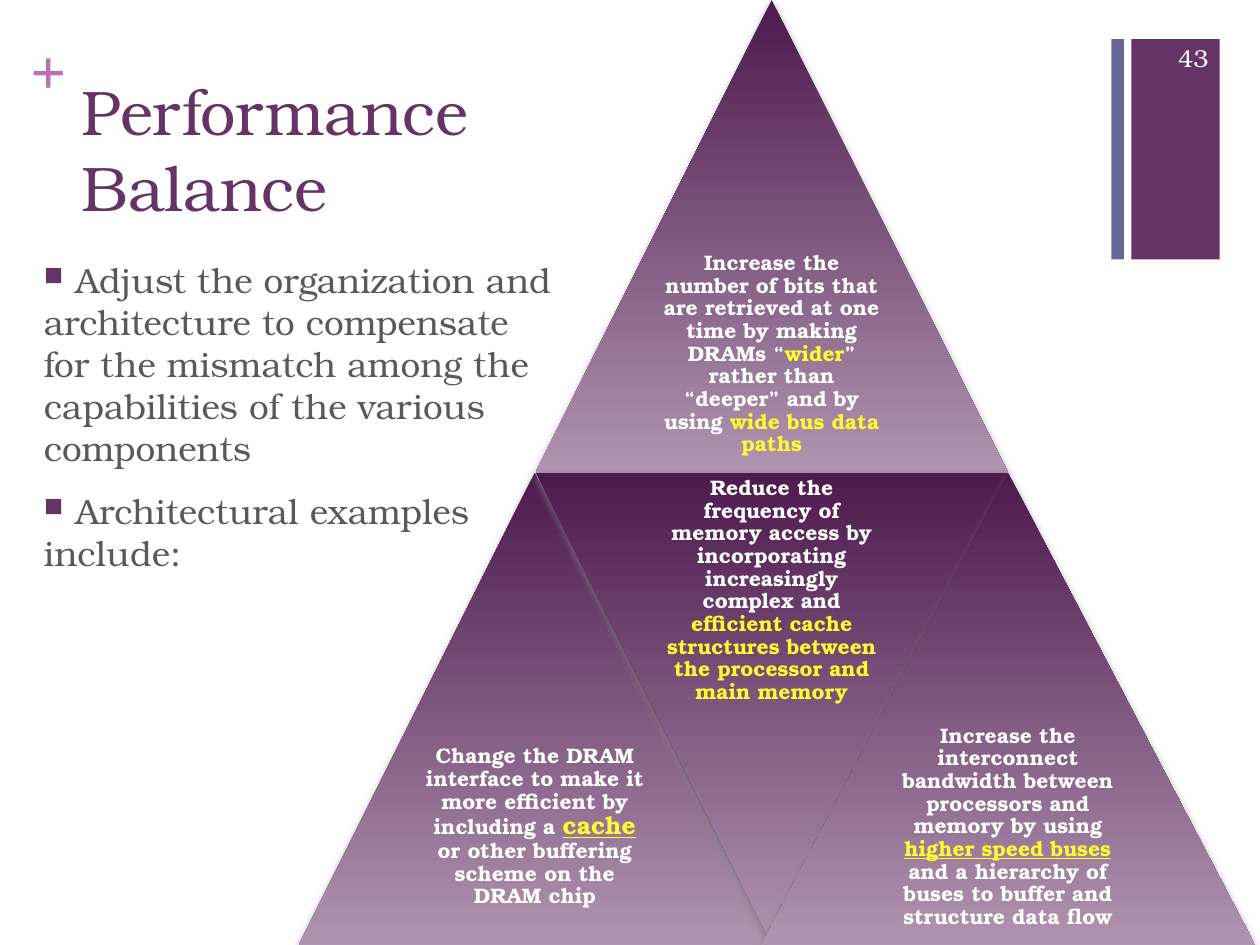
from lxml.etree import SubElement
from pptx import Presentation
from pptx.dml.color import RGBColor
from pptx.enum.shapes import MSO_SHAPE
from pptx.enum.text import MSO_ANCHOR, PP_ALIGN
from pptx.oxml.ns import qn
from pptx.util import Inches, Pt

WIDTH, HEIGHT = 10, 7.5
SERIF = "TeX Gyre Bonum"
COLOURS = {
    "plum": "663366", "slate": "666699", "orchid": "B870B8", "grey": "595959",
    "white": "FFFFFF", "yellow": "FEFB31", "dark": "4D1A4D", "light": "AF94AF",
    "shadow": "808080",
}
PLAIN = {"size": Pt(12), "bold": True, "colour": "white"}
KEY = {**PLAIN, "colour": "yellow"}
LINKED = {**KEY, "underline": True}

HALF = HEIGHT / 2
# Each triangle: box (left, top, width, height), inverted, text runs
PYRAMID = [
    ((4.25, 0, HALF, HALF), False, [
        ("Increase the number of bits that are retrieved at one time by making DRAMs “", PLAIN),
        ("wider", KEY),
        ("” rather than “deeper” and by using ", PLAIN),
        ("wide bus data paths", KEY)]),
    ((2.37, HALF, HALF, HALF), False, [
        ("Change the DRAM interface to make it more efficient by including a ", PLAIN),
        ("cache", {**LINKED, "size": Pt(14)}),
        (" or other buffering scheme on the DRAM chip", PLAIN)]),
    ((4.25, HALF, HALF, HALF), True, [
        ("Reduce the frequency of memory access by incorporating increasingly complex and ", PLAIN),
        ("efficient cache structures between the processor and main memory", KEY)]),
    ((6.04, HALF, 3.92, HALF), False, [
        ("Increase the interconnect bandwidth between processors and memory by using ", PLAIN),
        ("higher speed buses ", LINKED),
        ("and a hierarchy of buses to buffer and structure data flow", PLAIN)]),
]
POINTS = [
    ["Adjust the organization and", "architecture to compensate",
     "for the mismatch among the", "capabilities of the various", "components"],
    ["Architectural examples", "include:"],
]


def colour(name):
    return RGBColor.from_string(COLOURS[name])


def apply(target, values):
    for name, value in values.items():
        setattr(target, name, value)


def inches(box):
    return [Inches(length) for length in box]


def add_text(paragraph, text, style):
    run = paragraph.add_run()
    run.text = text
    values = {"name": SERIF, **style}
    run.font.color.rgb = colour(values.pop("colour"))
    apply(run.font, values)


def add_box(shapes, box, margin=None, anchor=MSO_ANCHOR.TOP):
    """Add a wrapping text box and return its text frame."""
    frame = shapes.add_textbox(*inches(box)).text_frame
    apply(frame, {"word_wrap": True, "vertical_anchor": anchor})
    if margin is not None:
        sides = ("left", "top", "right", "bottom")
        apply(frame, {f"margin_{side}": Inches(margin) for side in sides})
    return frame


def add_bar(shapes, box, fill):
    bar = shapes.add_shape(MSO_SHAPE.RECTANGLE, *inches(box))
    bar.shadow.inherit = False
    bar.fill.solid()
    bar.fill.fore_color.rgb = colour(fill)
    bar.line.fill.background()


def add_page_mark(shapes, box, number):
    """Draw the slim and wide corner bars with the slide number."""
    left, top, width, height = box
    add_bar(shapes, (left, top, 0.1, height), "slate")
    add_bar(shapes, (left + 0.16, top, width - 0.16, height), "plum")
    frame = add_box(shapes, (left + 0.26, top - 0.05, 0.61, 0.4), anchor=MSO_ANCHOR.MIDDLE)
    paragraph = frame.paragraphs[0]
    paragraph.alignment = PP_ALIGN.RIGHT
    add_text(paragraph, number, {"size": Pt(14), "colour": "white"})


def add_title(shapes, box, lines):
    left, top, _, _ = box
    plus = add_box(shapes, (left - 0.31, top - 0.28, 0.29, 0.61), margin=0)
    add_text(plus.paragraphs[0], "+", {"name": "Times New Roman", "size": Pt(36),
                                       "bold": True, "colour": "orchid"})
    paragraph = add_box(shapes, box).paragraphs[0]
    for index, line in enumerate(lines):
        if index:
            paragraph.add_line_break()
        add_text(paragraph, line, {"size": Pt(36), "colour": "plum"})


def set_bullet(paragraph, symbol=None):
    """Indent a paragraph and give it a square bullet, or none."""
    properties = paragraph._p.get_or_add_pPr()
    properties.set("marL", str(Inches(0.5)))
    properties.set("indent", str(-Inches(0.25)))
    if symbol is None:
        SubElement(properties, qn("a:buNone"))
        return
    tint = SubElement(properties, qn("a:buClr"))
    SubElement(tint, qn("a:srgbClr"), val=COLOURS["plum"])
    SubElement(properties, qn("a:buSzPct"), val="75000")
    SubElement(properties, qn("a:buChar"), char=symbol)


def add_points(shapes, box, points):
    frame = add_box(shapes, box)
    paragraph = None
    for lines in points:
        for index, line in enumerate(lines):
            paragraph = frame.add_paragraph() if paragraph else frame.paragraphs[0]
            paragraph.level = 1
            paragraph.space_before = Pt(0 if index else 12)
            set_bullet(paragraph, None if index else "■")
            add_text(paragraph, line, {"size": Pt(20), "colour": "grey"})


def add_shadow(shape):
    effects = SubElement(shape._element.spPr, qn("a:effectLst"))
    outer = SubElement(effects, qn("a:outerShdw"), blurRad=str(Pt(5)), dist=str(Pt(2)),
                       dir="5400000", rotWithShape="0")
    tint = SubElement(outer, qn("a:srgbClr"), val=COLOURS["shadow"])
    SubElement(tint, qn("a:alpha"), val="75000")


def add_triangle(shapes, box, inverted, runs):
    left, top, width, height = box
    triangle = shapes.add_shape(MSO_SHAPE.ISOSCELES_TRIANGLE, *inches(box))
    triangle.rotation = 180 if inverted else 0
    triangle.fill.gradient()
    triangle.fill.gradient_angle = 270
    for stop, name, position in zip(triangle.fill.gradient_stops, ("dark", "light"), (0, 1)):
        stop.color.rgb = colour(name)
        stop.position = position
    triangle.fill._xPr.find(qn("a:gradFill")).set("rotWithShape", "0")
    triangle.line.fill.background()
    add_shadow(triangle)

    text_top = top if inverted else top + height / 2
    frame = add_box(shapes, (left + width / 4, text_top, width / 2, height / 2),
                    margin=0.05, anchor=MSO_ANCHOR.MIDDLE)
    paragraph = frame.paragraphs[0]
    apply(paragraph, {"alignment": PP_ALIGN.CENTER, "line_spacing": 0.9,
                      "space_after": Pt(4.2)})
    for text, style in runs:
        add_text(paragraph, text, style)


def add_pyramid(shapes, parts):
    group = shapes.add_group_shape()
    for box, inverted, runs in parts:
        add_triangle(group.shapes, box, inverted, runs)


def main():
    presentation = Presentation()
    apply(presentation, {"slide_width": Inches(WIDTH), "slide_height": Inches(HEIGHT)})
    slide = presentation.slides.add_slide(presentation.slide_layouts[6])
    shapes = slide.shapes
    add_title(shapes, (0.55, 0.53, 0.52 * WIDTH, 1.47), ["Performance ", "Balance"])
    add_pyramid(shapes, PYRAMID)
    add_points(shapes, (0, 2, 4.83, 3.01), POINTS)
    add_page_mark(shapes, (8.82, 0.31, 0.86, 1.75), "43")
    presentation.save("out.pptx")


if __name__ == "__main__":
    main()
